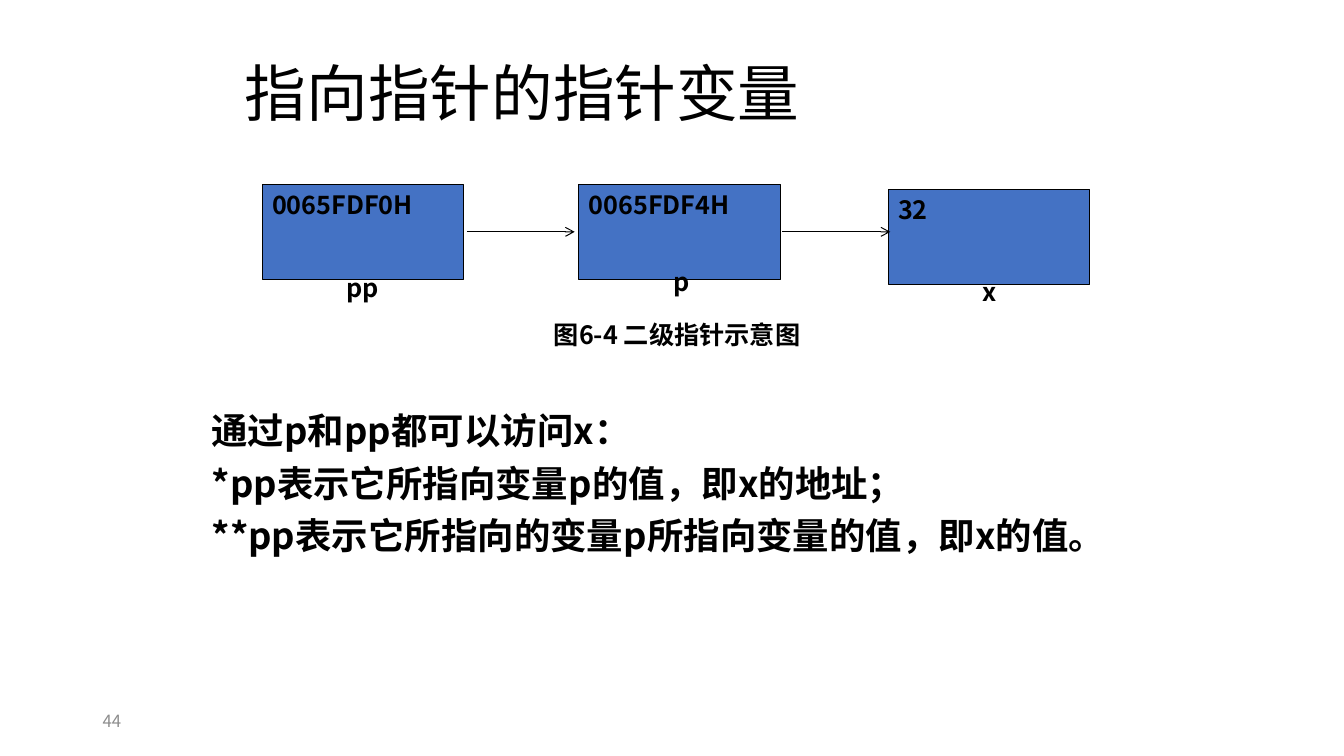
import pptx
import pptx.util
import pptx.dml.color
import pptx.enum.shapes
import pptx.enum.text
import pptx.oxml.ns
import lxml.etree

Inches = pptx.util.Inches
Pt = pptx.util.Pt
Align = pptx.enum.text.PP_ALIGN
Anchor = pptx.enum.text.MSO_ANCHOR
qn = pptx.oxml.ns.qn
FONT = "Noto Sans CJK SC"


def color(value):
    return pptx.dml.color.RGBColor.from_string(value)


def write(shape, lines, size, align, bold=True, ink="000000", before=0, after=0, anchor=Anchor.TOP):
    frame = shape.text_frame
    frame.word_wrap = True
    frame.vertical_anchor = anchor
    frame.text = "\n".join(lines)
    for paragraph in frame.paragraphs:
        paragraph.alignment = align
        paragraph.space_before = Pt(before)
        paragraph.space_after = Pt(after)
        font = paragraph.font
        font.name = FONT
        font.size = Pt(size)
        font.bold = bold
        font.color.rgb = color(ink)
        properties = paragraph._p.pPr.find(qn("a:defRPr"))
        lxml.etree.SubElement(properties, qn("a:ea"), typeface=FONT)
    return frame


presentation = pptx.Presentation()
presentation.slide_width = Inches(13.33)
presentation.slide_height = Inches(7.5)
slide = presentation.slides.add_slide(presentation.slide_layouts[5])
shapes = slide.shapes

title = shapes.title
title.left, title.top = Inches(2.33), Inches(0.33)
title.width, title.height = Inches(8.5), Inches(1.25)
title_frame = write(title, ["指向指针的指针变量"], 44, Align.LEFT, bold=False, anchor=Anchor.MIDDLE)
title_frame.paragraphs[0].line_spacing = 0.9

page_number = shapes.add_textbox(Inches(0.92), Inches(6.95), Inches(3), Inches(0.4))
write(page_number, ["44"], 12, Align.LEFT, bold=False, ink="8C8C8C", anchor=Anchor.MIDDLE)

variables = [
    ("pp", "0065FDF0H", 2.6, 1.83, 2.58, 2.65),
    ("p", "0065FDF4H", 5.74, 1.83, 5.74, 2.59),
    ("x", "32", 8.81, 1.88, 8.79, 2.69),
]
for name, value, box_left, box_top, name_left, name_top in variables:
    box = shapes.add_shape(
        pptx.enum.shapes.MSO_SHAPE.RECTANGLE,
        Inches(box_left), Inches(box_top), Inches(2), Inches(0.94),
    )
    box.shadow.inherit = False
    box.fill.solid()
    box.fill.fore_color.rgb = color("4472C4")
    box.line.color.rgb = color("000000")
    box.line.width = Pt(0.75)
    write(box, [value], 18, Align.JUSTIFY)
    label = shapes.add_textbox(Inches(name_left), Inches(name_top), Inches(2.04), Inches(0.77))
    write(label, [name], 18, Align.CENTER, before=7.8, after=3)

for arrow_left in (4.63, 7.76):
    arrow = shapes.add_connector(
        pptx.enum.shapes.MSO_CONNECTOR.STRAIGHT,
        Inches(arrow_left), Inches(2.3), Inches(arrow_left + 1.07), Inches(2.3),
    )
    arrow.line.color.rgb = color("000000")
    arrow.line.width = Pt(0.75)
    lxml.etree.SubElement(arrow.line._get_or_add_ln(), qn("a:tailEnd"), type="arrow")
    lxml.etree.SubElement(arrow._element.spPr, qn("a:effectLst"))

caption = shapes.add_textbox(Inches(4.61), Inches(3.17), Inches(4.21), Inches(0.99))
caption_frame = write(caption, ["图6-4 二级指针示意图"], 18, Align.CENTER, before=2, after=8.5)
caption_frame.margin_top = 0

explanation = shapes.add_textbox(Inches(2), Inches(4), Inches(9.42), Inches(1.84))
explanation_lines = [
    "通过p和pp都可以访问x：",
    "*pp表示它所指向变量p的值，即x的地址；",
    "**pp表示它所指向的变量p所指向变量的值，即x的值。",
]
write(explanation, explanation_lines, 26, Align.JUSTIFY, before=6.5)

presentation.save("out.pptx")
